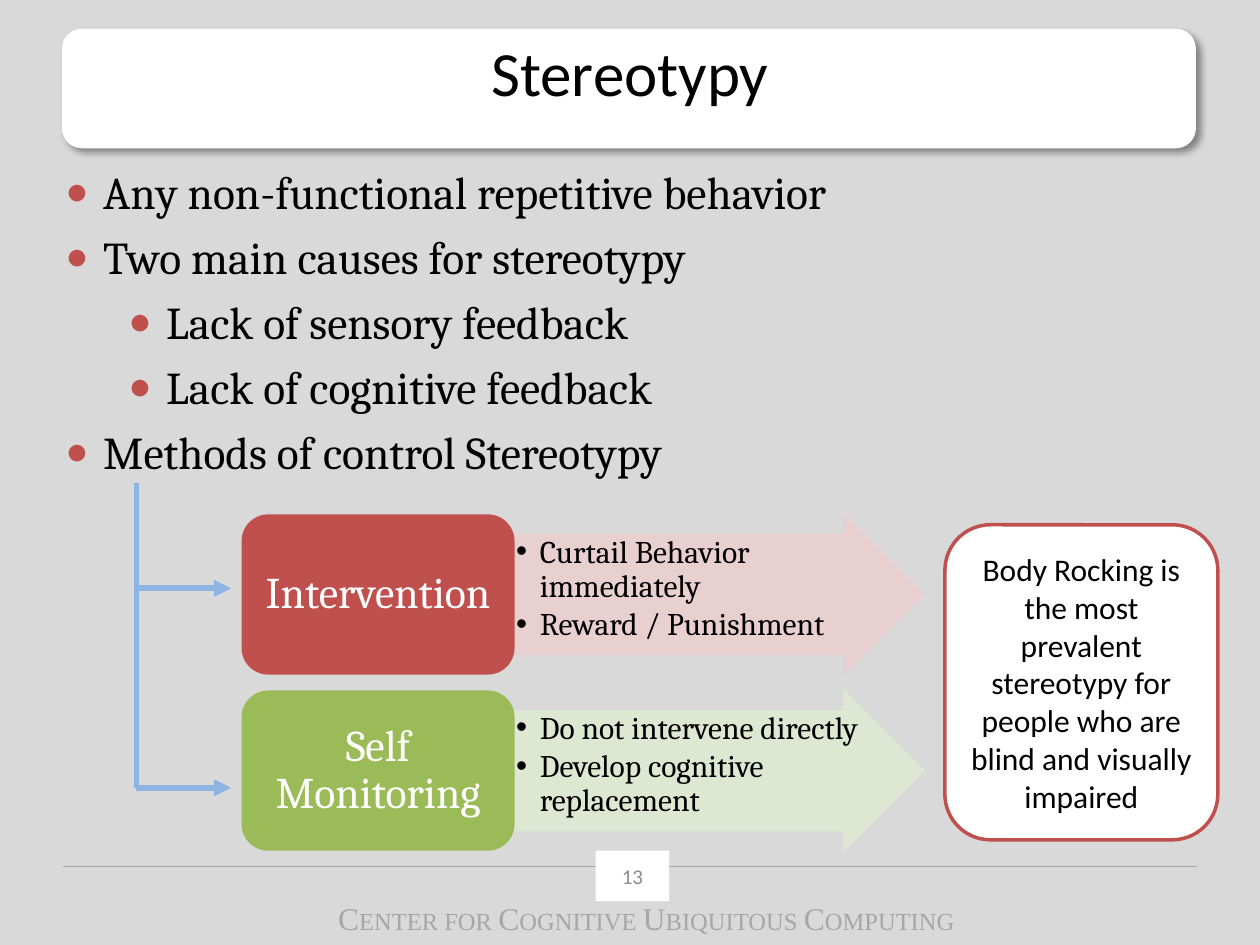
from lxml import etree
from pptx import Presentation
from pptx.dml.color import RGBColor
from pptx.enum.shapes import MSO_CONNECTOR, MSO_SHAPE
from pptx.enum.text import MSO_ANCHOR, PP_ALIGN
from pptx.oxml.ns import qn
from pptx.util import Cm, Pt

STRAIGHT = MSO_CONNECTOR.STRAIGHT
ROUNDED = MSO_SHAPE.ROUNDED_RECTANGLE
RECTANGLE = MSO_SHAPE.RECTANGLE
RIGHT_ARROW = MSO_SHAPE.RIGHT_ARROW
TOP, MIDDLE = MSO_ANCHOR.TOP, MSO_ANCHOR.MIDDLE
LEFT, CENTER = PP_ALIGN.LEFT, PP_ALIGN.CENTER

BLACK = RGBColor(0x00, 0x00, 0x00)
WHITE = RGBColor(0xFF, 0xFF, 0xFF)
BACKGROUND = RGBColor(0xD9, 0xD9, 0xD9)
GRAY = RGBColor(0xA6, 0xA6, 0xA6)
NUMBER_GRAY = RGBColor(0x8C, 0x8C, 0x8C)
RED = RGBColor(0xC0, 0x50, 0x4D)
PALE_RED = RGBColor(0xE8, 0xD0, 0xD0)
GREEN = RGBColor(0x9B, 0xBB, 0x59)
PALE_GREEN = RGBColor(0xDE, 0xE7, 0xD1)
BLUE = RGBColor(0x8E, 0xB4, 0xE3)

POINTS = [
    ("Any non-functional repetitive behavior", 0),
    ("Two main causes for stereotypy", 0),
    ("Lack of sensory feedback", 1),
    ("Lack of cognitive feedback", 1),
    ("Methods of control Stereotypy", 0),
]
METHODS = [
    ("Intervention", RED, PALE_RED,
     ["Curtail Behavior immediately", "Reward / Punishment"]),
    ("Self Monitoring", GREEN, PALE_GREEN,
     ["Do not intervene directly", "Develop cognitive replacement"]),
]
CENTER_NAME = ["Center", "for", "Cognitive", "Ubiquitous", "Computing"]


def add_child(parent, tag, **attributes):
    return etree.SubElement(parent, qn(tag), attributes)


def add_box(slide, kind, left, top, width, height, fill, line=None, line_width=0.75):
    shape = slide.shapes.add_shape(kind, Cm(left), Cm(top), Cm(width), Cm(height))
    shape.shadow.inherit = False
    shape.fill.solid()
    shape.fill.fore_color.rgb = fill
    if line is None:
        shape.line.fill.background()
    else:
        shape.line.color.rgb = line
        shape.line.width = Pt(line_width)
    return shape


def add_text_box(slide, left, top, width, height):
    return slide.shapes.add_textbox(Cm(left), Cm(top), Cm(width), Cm(height))


def set_font(paragraph, name, size, color):
    paragraph.font.name = name
    paragraph.font.size = Pt(size)
    paragraph.font.color.rgb = color


def write(shape, lines, name, size, color, align=CENTER, anchor=MIDDLE):
    frame = shape.text_frame
    frame.word_wrap = True
    frame.vertical_anchor = anchor
    frame.text = "\n".join(lines)
    for paragraph in frame.paragraphs:
        paragraph.alignment = align
        set_font(paragraph, name, size, color)
    return frame.paragraphs


def set_bullet(paragraph, symbol, margin, hanging, color=None, percent=100):
    properties = paragraph._p.get_or_add_pPr()
    properties.set("marL", str(Cm(margin)))
    properties.set("indent", str(-Cm(hanging)))
    defaults = properties.find(qn("a:defRPr"))
    properties.remove(defaults)
    if color is not None:
        add_child(add_child(properties, "a:buClr"), "a:srgbClr", val=str(color))
    add_child(properties, "a:buSzPct", val=str(percent * 1000))
    add_child(properties, "a:buFont", typeface="Arial")
    add_child(properties, "a:buChar", char=symbol)
    properties.append(defaults)


def add_line(slide, start, end, color, width, arrow=False):
    line = slide.shapes.add_connector(STRAIGHT, *map(Cm, start + end))
    line.line.color.rgb = color
    line.line.width = Pt(width)
    if arrow:
        add_child(line.line._get_or_add_ln(), "a:tailEnd", type="triangle")
    add_child(line._element.spPr, "a:effectLst")


def add_title(slide, left, top, width, height):
    card = add_box(slide, ROUNDED, left, top, width, height, WHITE)
    effects = card._element.spPr.find(qn("a:effectLst"))
    shadow = add_child(effects, "a:outerShdw", blurRad=str(Pt(4)), dist=str(Pt(3)),
                       dir="2700000", algn="tl", rotWithShape="0")
    color = add_child(shadow, "a:srgbClr", val=str(BLACK))
    add_child(color, "a:alpha", val="40000")
    title = add_text_box(slide, left + 0.02, top - 0.03, width, height)
    write(title, ["Stereotypy"], "Calibri", 36, BLACK, anchor=TOP)


def add_points(slide, left, top, width, height):
    box = add_text_box(slide, left, top, width, height)
    lines = [text for text, level in POINTS]
    paragraphs = write(box, lines, "Cambria", 26, BLACK, LEFT, TOP)
    for index, (paragraph, (text, level)) in enumerate(zip(paragraphs, POINTS)):
        paragraph.level = level
        if index:
            paragraph.space_before = Pt(6)
        set_bullet(paragraph, "●", 0.76 + 1.27 * level, 0.76, RED, 85)


def add_method(slide, left, top, width, height, method):
    name, color, pale, effects = method
    label_width = 0.4 * width
    arrow = add_box(slide, RIGHT_ARROW, left + label_width, top,
                    width - label_width, height, pale, pale)
    arrow.adjustments[0] = 0.75
    frame = arrow.text_frame
    frame.margin_left = frame.margin_right = Cm(0.03)
    frame.margin_top = frame.margin_bottom = Cm(0.03)
    for paragraph in write(arrow, effects, "Cambria", 18, BLACK, LEFT, TOP):
        paragraph.line_spacing = 0.9
        paragraph.space_after = Pt(2.7)
        set_bullet(paragraph, "•", 0.48, 0.48)
    label = add_box(slide, ROUNDED, left, top, label_width, height, color)
    for paragraph in write(label, [name], "Cambria", 25, WHITE):
        paragraph.line_spacing = 0.9


def add_methods(slide, left, top, width, height):
    row_height = 3.23
    step = height - row_height
    for index, method in enumerate(METHODS):
        add_method(slide, left, top + index * step, width, row_height, method)


def add_branches(slide, left, top, width, height):
    bottom = top + height
    add_line(slide, (left, top), (left, bottom), BLUE, 3.25)
    for level in (top + 2.12, bottom):
        add_line(slide, (left, level), (left + width, level), BLUE, 3.25, True)


def add_callout(slide, left, top, width, height):
    box = add_box(slide, ROUNDED, left, top, width, height, WHITE, RED, 2)
    text = ("Body Rocking is the most prevalent stereotypy for people "
            "who are blind and visually impaired")
    write(box, [text], "Calibri", 18, BLACK)


def add_footer(slide, left, top, width, height):
    add_line(slide, (left, top + 0.32), (left + width, top + 0.32), GRAY, 0.75)
    number = add_box(slide, RECTANGLE, left + 10.74, top, 1.48, 1.02, WHITE)
    write(number, ["13"], "Calibri", 12, NUMBER_GRAY)
    box = add_text_box(slide, left + 4.24, top + 0.84, 15.04, height - 0.84)
    frame = box.text_frame
    frame.word_wrap = True
    paragraph = frame.paragraphs[0]
    paragraph.alignment = CENTER
    set_font(paragraph, "Times New Roman", 14, GRAY)
    pieces = []
    for word in CENTER_NAME:
        if word[0].isupper():
            pieces += [(word[0], 18), (word[1:].upper() + " ", 14)]
        else:
            pieces[-1] = (pieces[-1][0] + word.upper() + " ", 14)
    pieces[-1] = (pieces[-1][0].rstrip(), 14)
    for text, size in pieces:
        run = paragraph.add_run()
        run.text = text
        run.font.size = Pt(size)


def main():
    presentation = Presentation()
    presentation.slide_width = Cm(25.4)
    presentation.slide_height = Cm(19.05)
    slide = presentation.slides.add_slide(presentation.slide_layouts[6])
    slide.background.fill.solid()
    slide.background.fill.fore_color.rgb = BACKGROUND
    add_title(slide, 1.25, 0.58, 22.86, 2.41)
    add_points(slide, 1.07, 3.18, 23.06, 6.98)
    add_methods(slide, 4.87, 10.37, 13.76, 6.78)
    add_branches(slide, 2.75, 9.74, 1.91, 6.14)
    add_callout(slide, 19.05, 10.58, 5.5, 6.35)
    add_footer(slide, 1.27, 17.15, 22.86, 1.86)
    presentation.save("out.pptx")


if __name__ == "__main__":
    main()
